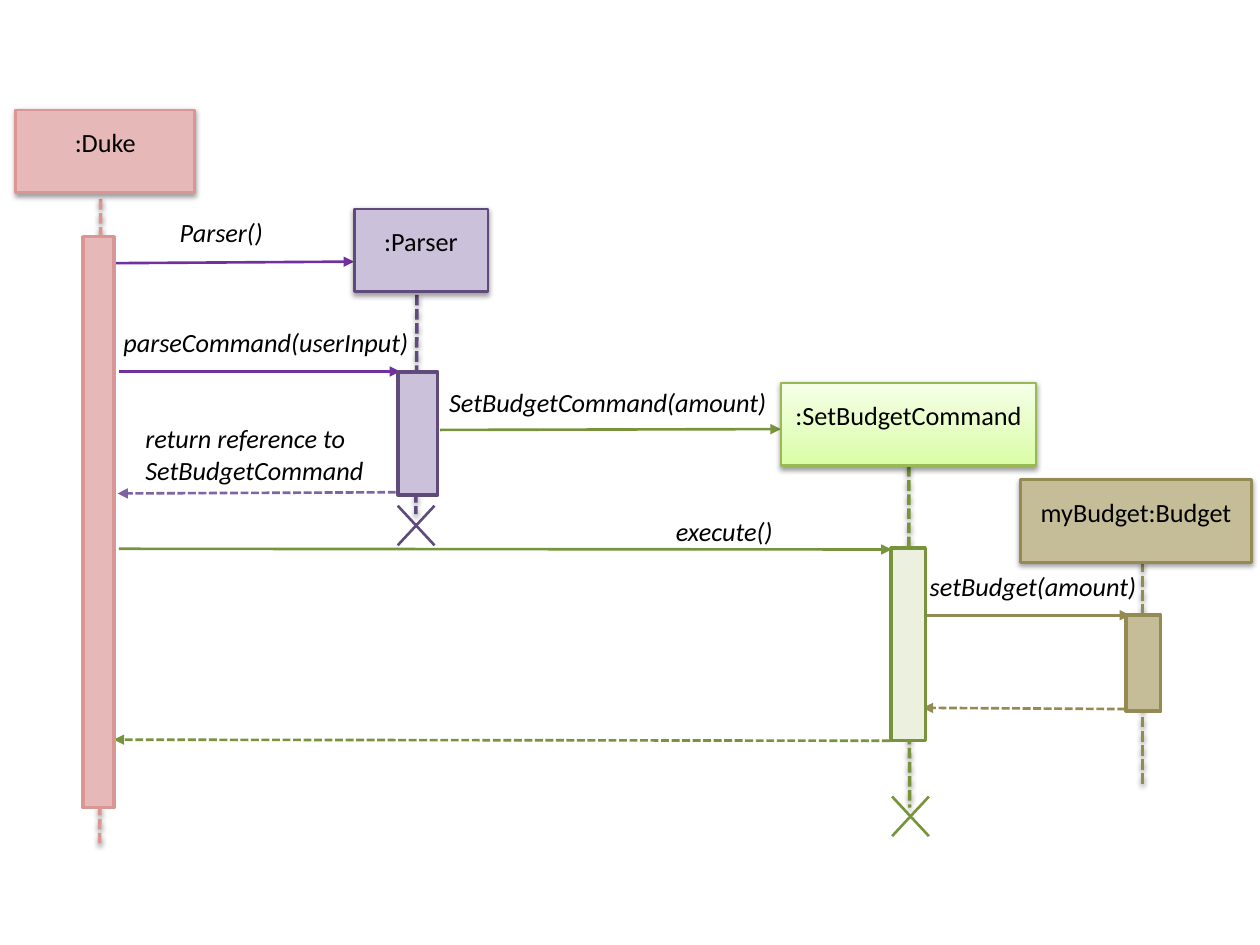
"""Build a sequence diagram for the command that sets a budget."""
from lxml import etree
from pptx import Presentation
from pptx.dml.color import RGBColor
from pptx.enum import dml, shapes, text
from pptx.oxml import ns
from pptx.util import Pt

BLACK = RGBColor(0x00, 0x00, 0x00)
PINK = RGBColor(0xE6, 0xB9, 0xB8)
ROSE = RGBColor(0xD9, 0x96, 0x94)
LILAC = RGBColor(0xCC, 0xC1, 0xDA)
PLUM = RGBColor(0x60, 0x4A, 0x7B)
VIOLET = RGBColor(0x70, 0x30, 0xA0)
MAUVE = RGBColor(0x80, 0x64, 0xA2)
GREEN = RGBColor(0x77, 0x93, 0x3C)
LEAF = RGBColor(0x98, 0xB9, 0x55)
LIME = RGBColor(0xDA, 0xFD, 0xA7)
CREAM = RGBColor(0xF5, 0xFF, 0xE7)
PALE_GREEN = RGBColor(0xEB, 0xF1, 0xDE)
SAND = RGBColor(0xC4, 0xBD, 0x97)
OLIVE = RGBColor(0x94, 0x8A, 0x54)


def set_effects(shape, shadowed):
    effects = etree.SubElement(shape._element.spPr, ns.qn("a:effectLst"))
    if shadowed:
        shadow = etree.SubElement(
            effects, ns.qn("a:outerShdw"), blurRad=str(Pt(3.1)), dist=str(Pt(1.6)),
            dir="5400000", rotWithShape="0")
        color = etree.SubElement(shadow, ns.qn("a:srgbClr"), val=str(BLACK))
        etree.SubElement(color, ns.qn("a:alpha"), val="38000")


def add_line(x1, y1, x2, y2, color, width=1.5, dashed=False, arrow=False, shadowed=False):
    connector = slide.shapes.add_connector(
        shapes.MSO_CONNECTOR.STRAIGHT, Pt(x1), Pt(y1), Pt(x2), Pt(y2))
    connector.line.color.rgb = color
    connector.line.width = Pt(width)
    if dashed:
        connector.line.dash_style = dml.MSO_LINE.SQUARE_DOT
    if arrow:
        etree.SubElement(connector.line._get_or_add_ln(), ns.qn("a:tailEnd"), type="triangle")
    set_effects(connector, shadowed)


presentation = Presentation()
presentation.slide_width = Pt(720)
presentation.slide_height = Pt(540)
slide = presentation.slides.add_slide(presentation.slide_layouts[6])

lifelines = [
    (57.5, 113.7, 57, 483.3, ROSE),
    (238.3, 168.5, 237.6, 293.8, PLUM),
    (519.3, 266.4, 519.8, 461.5, GREEN),
    (653, 321.1, 653, 447.8, OLIVE),
]
for x1, y1, x2, y2, color in lifelines:
    add_line(x1, y1, x2, y2, color, width=2, dashed=True, shadowed=True)

messages = [
    (65, 150.4, 202.3, 149.5, VIOLET, False),
    (68, 212.3, 228.6, 212.3, VIOLET, False),
    (251.4, 245.7, 446.2, 245.2, GREEN, False),
    (226.1, 281.3, 67.2, 282, MAUVE, True),
    (68, 313.6, 509.5, 314, GREEN, False),
    (528, 351.6, 645.8, 351.6, OLIVE, False),
    (643, 405.2, 527.3, 404.5, OLIVE, True),
    (508.5, 423.3, 65, 422.7, GREEN, True),
]
for x1, y1, x2, y2, color, is_return in messages:
    add_line(x1, y1, x2, y2, color, dashed=is_return, arrow=True)

activations = [
    (47.3, 135.3, 18, 326.2, PINK, ROSE),
    (227.5, 212.5, 22.6, 70.4, LILAC, PLUM),
    (509.2, 313.3, 19.6, 109.8, PALE_GREEN, GREEN),
    (643.5, 351.5, 19.8, 55, SAND, OLIVE),
]
for left, top, width, height, fill, outline in activations:
    activation = slide.shapes.add_shape(
        shapes.MSO_SHAPE.RECTANGLE, Pt(left), Pt(top), Pt(width), Pt(height))
    activation.fill.solid()
    activation.fill.fore_color.rgb = fill
    activation.line.color.rgb = outline
    activation.line.width = Pt(2)
    set_effects(activation, False)

participants = [
    (":Duke", 9, 62.8, 102.3, [PINK], ROSE),
    (":Parser", 202.4, 119.4, 76.4, [LILAC], PLUM),
    (":SetBudgetCommand", 446.3, 218.8, 145.8, [LIME, CREAM], LEAF),
    ("myBudget:Budget", 583.2, 274, 132, [SAND], OLIVE),
]
for name, left, top, width, fills, outline in participants:
    box = slide.shapes.add_shape(
        shapes.MSO_SHAPE.RECTANGLE, Pt(left), Pt(top), Pt(width), Pt(47.3))
    if len(fills) == 1:
        box.fill.solid()
        box.fill.fore_color.rgb = fills[0]
    else:
        box.fill.gradient()
        box.fill.gradient_angle = 90
        for stop, color in zip(box.fill.gradient_stops, fills):
            stop.color.rgb = color
    box.line.color.rgb = outline
    box.line.width = Pt(1.5)
    set_effects(box, True)
    frame = box.text_frame
    frame.word_wrap = True
    frame.vertical_anchor = text.MSO_ANCHOR.TOP
    frame.margin_top = Pt(9.5)
    frame.margin_bottom = Pt(14.4)
    paragraph = frame.paragraphs[0]
    paragraph.alignment = text.PP_ALIGN.CENTER
    run = paragraph.add_run()
    run.text = name
    run.font.name = "Calibri"
    run.font.size = Pt(15)
    run.font.color.rgb = BLACK

labels = [
    ("Parser()", 95.6, 119.8, 93, 25.4),
    ("parseCommand(userInput)", 63.4, 183.1, 196.6, 25.4),
    ("SetBudgetCommand(amount)", 249.6, 217.4, 196.6, 25.4),
    ("return reference to SetBudgetCommand", 76, 237.9, 139, 43.6),
    ("execute()", 379.2, 291.2, 70, 25.4),
    ("setBudget(amount)", 524.2, 322.6, 139, 25.4),
]
for wording, left, top, width, height in labels:
    label = slide.shapes.add_textbox(Pt(left), Pt(top), Pt(width), Pt(height))
    frame = label.text_frame
    frame.word_wrap = True
    frame.auto_size = text.MSO_AUTO_SIZE.SHAPE_TO_FIT_TEXT
    run = frame.paragraphs[0].add_run()
    run.text = wording
    run.font.name = "Calibri"
    run.font.size = Pt(15)
    run.font.italic = True
    run.font.color.rgb = BLACK

for left, top, color in [(227.3, 289, PLUM), (509.8, 455.2, GREEN)]:
    right, bottom = left + 21, top + 22.6
    add_line(right, bottom, left, top, color)
    add_line(right, top, left, bottom, color)

presentation.save("out.pptx")
